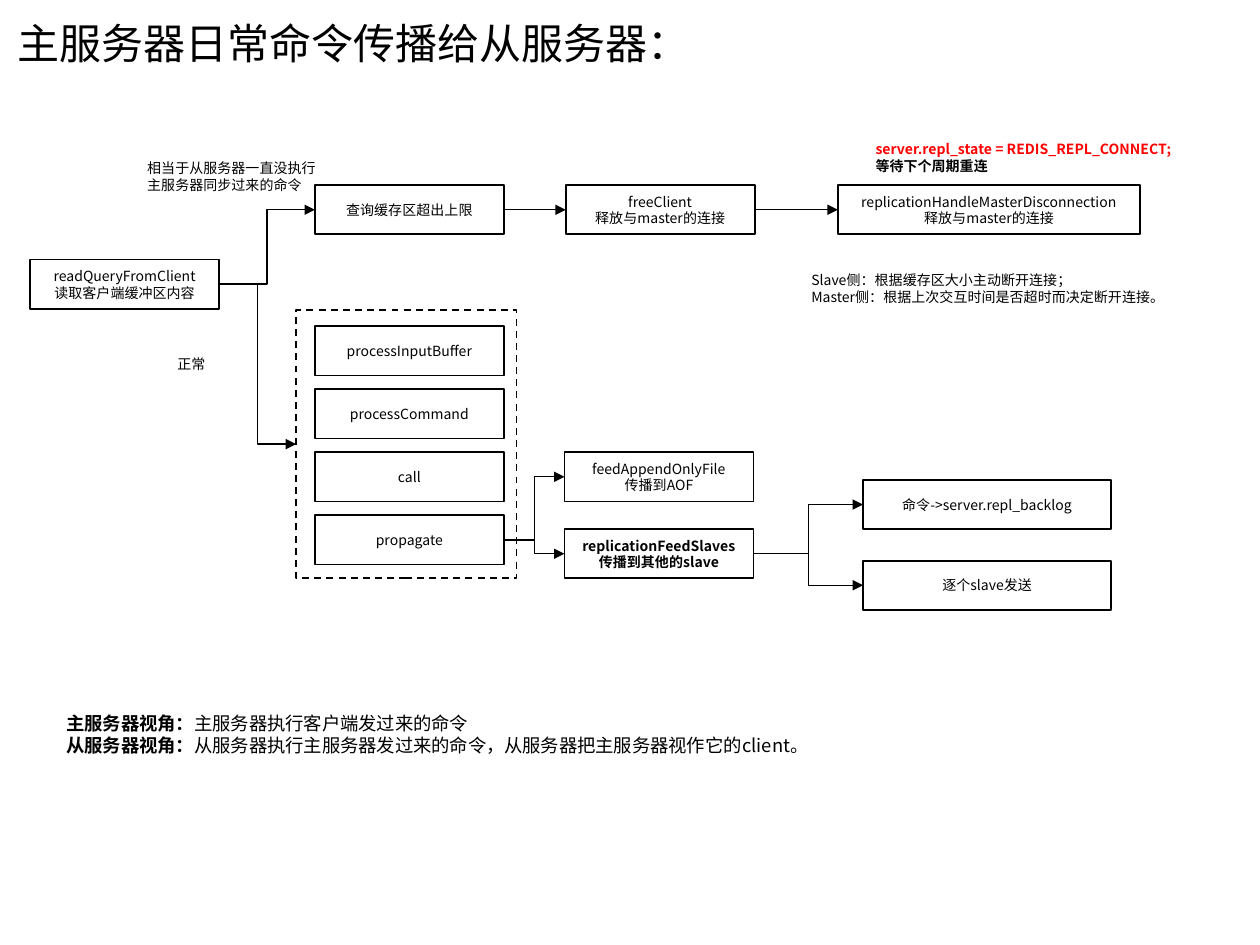
"""Build a slide showing how a master server propagates commands to its slaves."""
from dataclasses import dataclass

from lxml import etree
from pptx import Presentation
from pptx.dml.color import RGBColor
from pptx.enum import dml, shapes, text
from pptx.oxml.ns import qn
from pptx.shapes.autoshape import Shape
from pptx.slide import Slide
from pptx.text.text import TextFrame
from pptx.util import Inches, Pt


@dataclass(frozen=True)
class Theme:
    """Colours, font and sizes of the slide."""

    font: str = "Noto Sans CJK SC"
    ink: RGBColor = RGBColor(0, 0, 0)
    paper: RGBColor = RGBColor(255, 255, 255)
    alert: RGBColor = RGBColor(255, 0, 0)
    title: float = 24
    body: float = 10.5
    label: float = 8
    outline: float = 1
    arrow: float = 0.75


@dataclass(frozen=True)
class Span:
    """A stretch of text with its own weight and colour."""

    words: str
    bold: bool = False
    color: RGBColor = Theme.ink


@dataclass(frozen=True)
class Step:
    """A rectangle of the flow chart."""

    key: str
    left: float
    top: float
    lines: tuple[str, ...] = ()
    width: float = 1.5
    height: float = 0.39
    bold: bool = False
    dashed: bool = False


@dataclass(frozen=True)
class Note:
    """A free text block made of lines of spans."""

    left: float
    top: float
    width: float
    height: float
    lines: tuple[tuple[Span, ...], ...]
    size: float = Theme.label


@dataclass(frozen=True)
class Link:
    """An arrow between two steps."""

    start: str
    end: str
    kind: shapes.MSO_CONNECTOR = shapes.MSO_CONNECTOR.ELBOW


THEME = Theme()
STRAIGHT = shapes.MSO_CONNECTOR.STRAIGHT
LEFT_SITE, RIGHT_SITE = 1, 3
CALL_CHAIN = ("processInputBuffer", "processCommand", "call", "propagate")

STEPS = (
    Step("frame", 2.35, 2.46, width=1.75, height=2.13, dashed=True),
    Step("read", 0.24, 2.06, ("readQueryFromClient", "读取客户端缓冲区内容")),
    Step("limit", 2.5, 1.47, ("查询缓存区超出上限",)),
    Step("free", 4.49, 1.47, ("freeClient", "释放与master的连接")),
    Step("disconnect", 6.65, 1.47,
         ("replicationHandleMasterDisconnection", "释放与master的连接"), width=2.4),
    *(Step(name, 2.5, 2.59 + 0.5 * row, (name,)) for row, name in enumerate(CALL_CHAIN)),
    Step("aof", 4.48, 3.59, ("feedAppendOnlyFile", "传播到AOF")),
    Step("slaves", 4.48, 4.2, ("replicationFeedSlaves", "传播到其他的slave"), bold=True),
    Step("backlog", 6.85, 3.81, ("命令->server.repl_backlog",), width=1.97),
    Step("send", 6.85, 4.45, ("逐个slave发送",), width=1.97),
)

LINKS = (
    Link("read", "limit"),
    Link("limit", "free", STRAIGHT),
    Link("free", "disconnect", STRAIGHT),
    Link("read", "frame"),
    Link("propagate", "aof"),
    Link("propagate", "slaves"),
    Link("slaves", "backlog"),
    Link("slaves", "send"),
)

NOTES = (
    Note(1.07, 1.22, 2.36, 0.37,
         ((Span("相当于从服务器一直没执行"),), (Span("主服务器同步过来的命令"),))),
    Note(6.85, 1.07, 3.15, 0.37,
         ((Span("server.repl_state = REDIS_REPL_CONNECT;", True, THEME.alert),),
          (Span("等待下个周期重连", True),))),
    Note(1.31, 2.77, 0.71, 0.24, ((Span("正常"),),)),
    Note(6.34, 2.11, 3.15, 0.37,
         ((Span("Slave侧：根据缓存区大小主动断开连接；"),),
          (Span("Master侧：根据上次交互时间是否超时而决定断开连接。"),))),
    Note(0.43, 5.6, 6.76, 0.45,
         ((Span("主服务器视角：", True), Span("主服务器执行客户端发过来的命令")),
          (Span("从服务器视角：", True),
           Span("从服务器执行主服务器发过来的命令，从服务器把主服务器视作它的client。"))),
         THEME.body),
)


def write(frame: TextFrame, lines: tuple[tuple[Span, ...], ...], size: float,
          align: text.PP_ALIGN = text.PP_ALIGN.LEFT) -> None:
    """Fill a text frame with formatted lines."""
    frame.word_wrap = True
    for index, spans in enumerate(lines):
        para = frame.add_paragraph() if index else frame.paragraphs[0]
        para.alignment = align
        for span in spans:
            run = para.add_run()
            run.text = span.words
            run.font.size = Pt(size)
            run.font.bold = span.bold
            run.font.color.rgb = span.color
            run.font.name = THEME.font
            etree.SubElement(run.font._element, qn("a:ea"), typeface=THEME.font)


def draw_step(page: Slide, step: Step) -> Shape:
    """Draw one rectangle and its centred text."""
    box = page.shapes.add_shape(
        shapes.MSO_SHAPE.RECTANGLE, Inches(step.left), Inches(step.top),
        Inches(step.width), Inches(step.height))
    box.shadow.inherit = False
    box.fill.solid()
    box.fill.fore_color.rgb = THEME.paper
    box.line.color.rgb = THEME.ink
    box.line.width = Pt(THEME.outline)
    if step.dashed:
        box.line.dash_style = dml.MSO_LINE.DASH
    box.text_frame.vertical_anchor = text.MSO_ANCHOR.MIDDLE
    write(box.text_frame, tuple((Span(line, step.bold),) for line in step.lines),
          THEME.label, text.PP_ALIGN.CENTER)
    return box


def draw_link(page: Slide, link: Link, boxes: dict[str, Shape]) -> None:
    """Draw an arrow from the right of one box to the left of another."""
    arrow = page.shapes.add_connector(link.kind, 0, 0, 0, 0)
    arrow.begin_connect(boxes[link.start], RIGHT_SITE)
    arrow.end_connect(boxes[link.end], LEFT_SITE)
    arrow.line.color.rgb = THEME.ink
    arrow.line.width = Pt(THEME.arrow)
    etree.SubElement(arrow.line._get_or_add_ln(), qn("a:tailEnd"), type="triangle")
    etree.SubElement(arrow._element.spPr, qn("a:effectLst"))


def draw_note(page: Slide, note: Note) -> None:
    """Draw one free text block."""
    box = page.shapes.add_textbox(
        Inches(note.left), Inches(note.top), Inches(note.width), Inches(note.height))
    write(box.text_frame, note.lines, note.size)


def draw_title(page: Slide, words: str) -> None:
    """Place and fill the title placeholder."""
    title = page.shapes.title
    title.left, title.top = Inches(0.04), Inches(0.09)
    title.width, title.height = Inches(8.03), Inches(0.5)
    title.text_frame.auto_size = text.MSO_AUTO_SIZE.NONE
    title.text_frame.vertical_anchor = text.MSO_ANCHOR.TOP
    write(title.text_frame, ((Span(words),),), THEME.title)


def main() -> None:
    """Build and save the deck."""
    deck = Presentation()
    deck.slide_width, deck.slide_height = Inches(10), Inches(7.5)
    page = deck.slides.add_slide(deck.slide_layouts.get_by_name("Title Only"))
    draw_title(page, "主服务器日常命令传播给从服务器：")
    boxes = {step.key: draw_step(page, step) for step in STEPS}
    for link in LINKS:
        draw_link(page, link, boxes)
    for note in NOTES:
        draw_note(page, note)
    deck.save("out.pptx")


if __name__ == "__main__":
    main()
